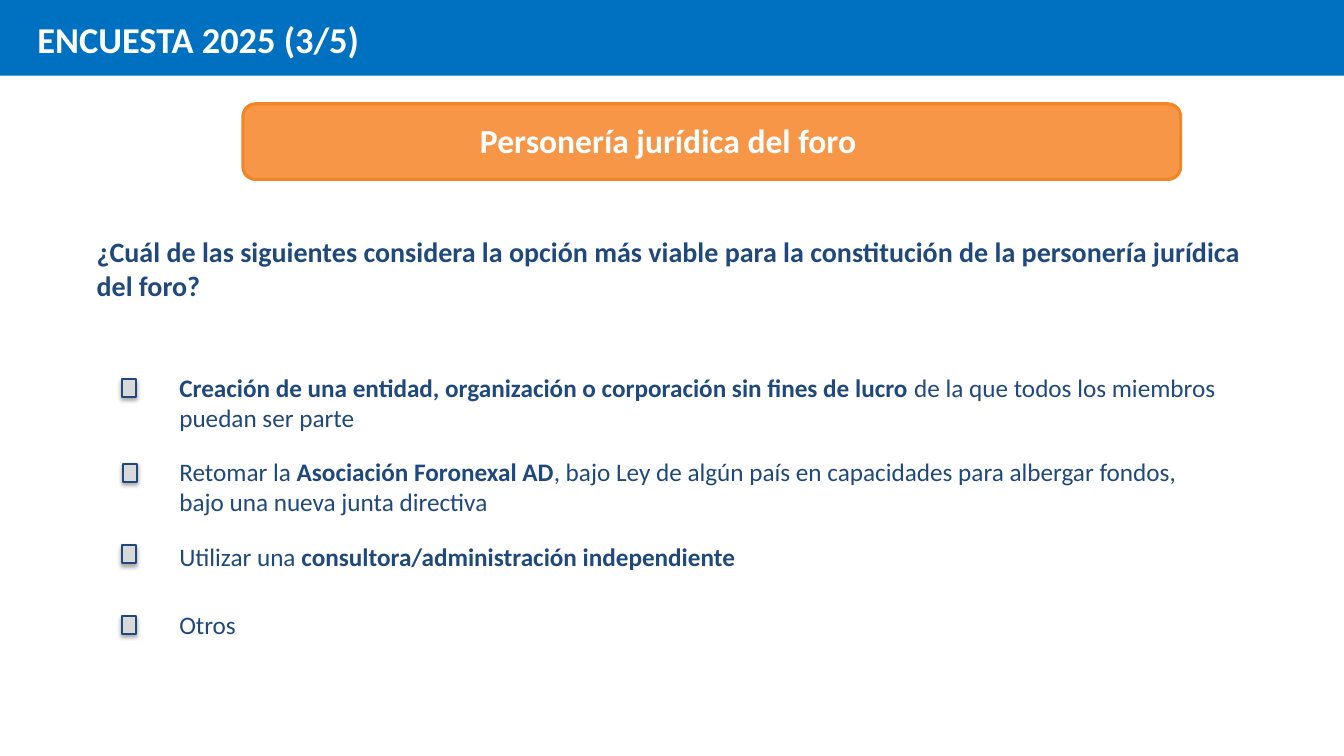
from lxml import etree
from pptx import Presentation
from pptx.dml.color import RGBColor
from pptx.enum import shapes, text
from pptx.oxml import ns
from pptx.util import Inches, Pt

NAVY, WHITE = "1F497D", "FFFFFF"


def color(value):
    return RGBColor.from_string(value)


def write(box, left, top, width, height, runs, size, ink, align=text.PP_ALIGN.LEFT):
    """Place a text shape and fill it with (words, bold) runs."""
    box.left, box.top = Inches(left), Inches(top)
    box.width, box.height = Inches(width), Inches(height)
    frame = box.text_frame
    frame.word_wrap = True
    frame.auto_size = text.MSO_AUTO_SIZE.SHAPE_TO_FIT_TEXT
    frame.vertical_anchor = text.MSO_ANCHOR.TOP
    paragraph = frame.paragraphs[0]
    paragraph.alignment = align
    for words, bold in runs:
        run = paragraph.add_run()
        run.text = words
        run.font.bold = bold
    font = paragraph.font
    font.name, font.size = "Calibri", Pt(size)
    font.color.rgb = color(ink)


prs = Presentation()
prs.slide_width, prs.slide_height = Inches(13.33), Inches(7.5)
slide = prs.slides.add_slide(prs.slide_layouts[5])
tree = slide.shapes

# Topic banner
banner = tree.add_shape(shapes.MSO_SHAPE.ROUNDED_RECTANGLE,
                        Inches(2.41), Inches(1.03), Inches(9.3), Inches(0.75))
banner.shadow.inherit = False
banner.fill.solid()
banner.fill.fore_color.rgb = color("F79646")
banner.line.color.rgb = color("F18626")
banner.line.width = Pt(2.25)

# Header bar, with the title in front of it
header = tree.add_shape(shapes.MSO_SHAPE.RECTANGLE,
                        Inches(-0.04), 0, Inches(13.37), Inches(0.75))
header.shadow.inherit = False
header.fill.solid()
header.fill.fore_color.rgb = color("0070C0")
header.line.fill.background()
title = tree.title
header._element.addnext(title._element)
write(title, 0.27, 0.12, 4.51, 0.54, [("ENCUESTA 2025 (3/5)", True)], 26, WHITE)

# Topic and question
write(tree.add_textbox(0, 0, 0, 0), 0, 1.14, 13.33, 0.5,
      [("Personería jurídica del foro ", True)], 24, WHITE, text.PP_ALIGN.CENTER)
write(tree.add_textbox(0, 0, 0, 0), 0.86, 2.28, 11.82, 0.77,
      [("¿Cuál de las siguientes considera la opción más viable para la "
        "constitución de la personería jurídica del foro?", True)], 20, NAVY)

# Answer options: text top, width, height, checkbox left, checkbox top, runs
options = [
    (3.64, 10.79, 0.71, 1.21, 3.76, [
        ("Creación de una entidad, organización o corporación sin fines de lucro", True),
        (" de la que todos los miembros puedan ser parte", False)]),
    (4.48, 10.38, 0.71, 1.22, 4.6, [
        ("Retomar la ", False),
        ("Asociación Foronexal AD", True),
        (", bajo Ley de algún país en capacidades para albergar fondos, "
         "bajo una nueva junta directiva", False)]),
    (5.32, 11, 0.4, 1.21, 5.41, [
        ("Utilizar una ", False),
        ("consultora/administración independiente", True)]),
    (6, 0.97, 0.4, 1.21, 6.11, [("Otros", False)]),
]
for top, width, height, check_left, check_top, runs in options:
    write(tree.add_textbox(0, 0, 0, 0), 1.68, top, width, height, runs, 18, NAVY)
    checkbox = tree.add_shape(shapes.MSO_SHAPE.RECTANGLE, Inches(check_left),
                              Inches(check_top), Inches(0.14), Inches(0.18))
    checkbox.fill.solid()
    checkbox.fill.fore_color.rgb = color("D9D9D9")
    checkbox.line.color.rgb = color(NAVY)
    checkbox.line.width = Pt(1.5)
    # Soft shadow below the checkbox
    checkbox.shadow.inherit = False
    effects = checkbox._element.spPr.find(ns.qn("a:effectLst"))
    shadow = etree.SubElement(effects, ns.qn("a:outerShdw"), blurRad=str(Pt(3.1)),
                              dist=str(Pt(1.8)), dir="5400000", rotWithShape="0")
    black = etree.SubElement(shadow, ns.qn("a:srgbClr"), val="000000")
    etree.SubElement(black, ns.qn("a:alpha"), val="35000")

prs.save("out.pptx")
